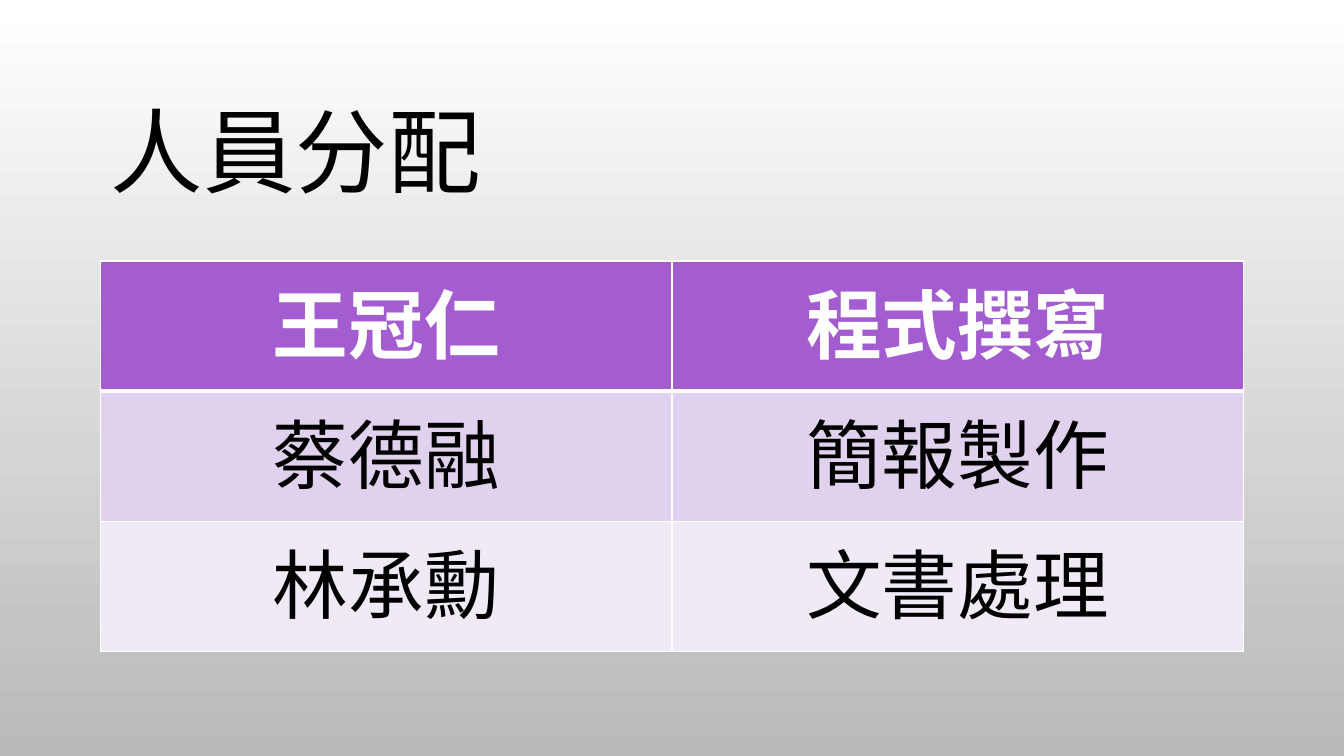
from lxml import etree
from pptx import Presentation
from pptx.dml.color import RGBColor
from pptx.enum import text
from pptx.oxml import ns
from pptx.util import Inches, Pt

COLORS = {
    "black": "000000",
    "white": "FFFFFF",
    "gray": "B9B9B9",
    "header": "A35DD1",
    "odd": "E0D2EE",
    "even": "F0EAF7",
}
FONT = "Calibri"
ASSIGNMENTS = [("王冠仁", "程式撰寫"), ("蔡德融", "簡報製作"), ("林承勳", "文書處理")]


def color(name):
    """Return the named colour."""
    return RGBColor.from_string(COLORS[name])


def set_font(paragraph, size, color_name, bold=False):
    """Format a whole paragraph."""
    font = paragraph.font
    font.name, font.size, font.bold = FONT, Pt(size), bold
    font.color.rgb = color(color_name)


def paint_background(slide):
    """Fill the background with a gradient from top to bottom."""
    fill = slide.background.fill
    fill.gradient()
    fill.gradient_angle = 270
    for stop, name, position in zip(fill.gradient_stops, ("white", "gray"), (0, 1)):
        stop.color.rgb = color(name)
        stop.position = position


def place_title(slide, words, left, top, width, height):
    """Put the title in the given box."""
    title = slide.shapes.title
    title.left, title.top = Inches(left), Inches(top)
    title.width, title.height = Inches(width), Inches(height)
    frame = title.text_frame
    frame.text = words
    frame.auto_size = text.MSO_AUTO_SIZE.NONE
    frame.vertical_anchor = text.MSO_ANCHOR.MIDDLE
    paragraph = frame.paragraphs[0]
    paragraph.alignment = text.PP_ALIGN.LEFT
    paragraph.line_spacing = 0.9
    set_font(paragraph, 66, "black")


def set_borders(cell, widths):
    """Draw white cell borders, given a width in points for each side."""
    properties = cell._tc.get_or_add_tcPr()
    for index, (side, width) in enumerate(widths.items()):
        line = etree.Element(ns.qn(f"a:ln{side}"), w=str(Pt(width)))
        fill = etree.SubElement(line, ns.qn("a:solidFill"))
        etree.SubElement(fill, ns.qn("a:srgbClr"), val=COLORS["white"])
        properties.insert(index, line)


def place_table(slide, rows, left, top, width, height):
    """Spread the assignment table evenly over the given box."""
    table = slide.shapes.add_table(
        len(rows), len(rows[0]), Inches(left), Inches(top), Inches(width), Inches(height)
    ).table
    for row_index, row in enumerate(rows):
        header = row_index == 0
        fill_name = "header" if header else "odd" if row_index % 2 else "even"
        for column_index, words in enumerate(row):
            cell = table.cell(row_index, column_index)
            cell.text = words
            cell.fill.solid()
            cell.fill.fore_color.rgb = color(fill_name)
            paragraph = cell.text_frame.paragraphs[0]
            paragraph.alignment = text.PP_ALIGN.CENTER
            set_font(paragraph, 54, "white" if header else "black", header)
            top_width = 3 if row_index == 1 else 1
            set_borders(cell, {"L": 1, "R": 1, "T": top_width, "B": 3 if header else 1})


def main():
    """Build and save the presentation."""
    presentation = Presentation()
    presentation.slide_width, presentation.slide_height = Inches(13.33), Inches(7.5)
    slide = presentation.slides.add_slide(presentation.slide_layouts[5])
    paint_background(slide)
    place_title(slide, "人員分配", 1, 0.68, 11.33, 1.75)
    place_table(slide, ASSIGNMENTS, 1, 2.59, 11.33, 3.87)
    presentation.save("out.pptx")


if __name__ == "__main__":
    main()
